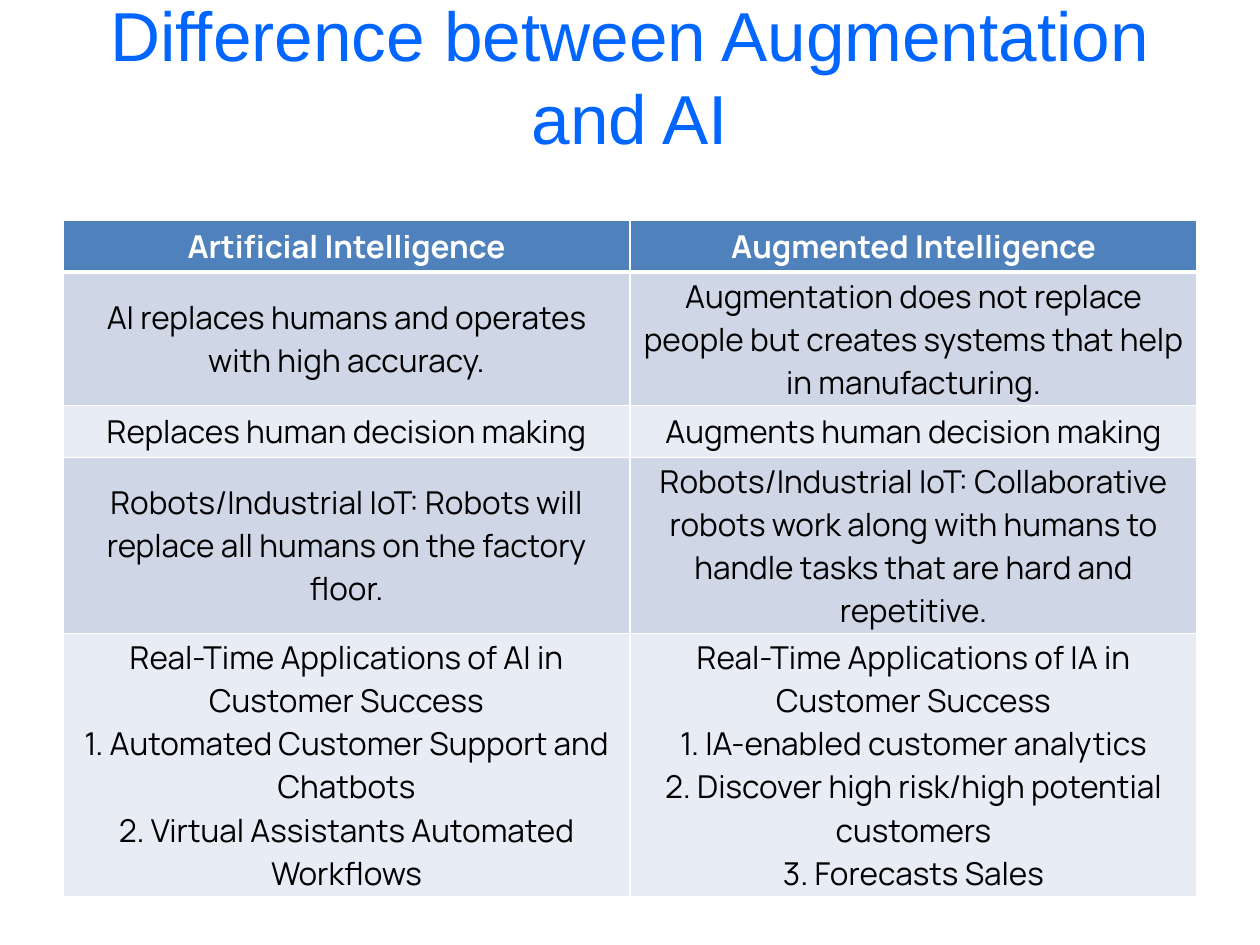
from dataclasses import dataclass
from typing import NamedTuple

from lxml.etree import SubElement
from pptx import Presentation
from pptx.dml.color import RGBColor
from pptx.enum.text import MSO_ANCHOR, PP_ALIGN
from pptx.oxml.ns import qn
from pptx.util import Emu, Pt

SCALE = 9144


@dataclass(frozen=True)
class Theme:
    blue: str = "0066FF"
    head: str = "4F81BD"
    bands: tuple = ("CFD7E7", "E8ECF4")
    ink: str = "000000"
    white: str = "FFFFFF"
    title: float = 39.6
    body: float = 18
    sans: str = "Arial"
    text: str = "Manrope"
    thin: float = 1
    thick: float = 3


class Box(NamedTuple):
    left: int
    top: int
    width: int
    height: int


class Pair(NamedTuple):
    height: int
    left: str
    right: str


class Style(NamedTuple):
    font: str
    size: float
    color: str
    bold: bool = False


THEME = Theme()
PAGE = Box(0, 0, 1000, 750)
TITLE = Box(50, 30, 900, 125)
PAIRS = [
    Pair(41, "Artificial Intelligence", "Augmented Intelligence"),
    Pair(106, "AI replaces humans and operates with high accuracy.",
         "Augmentation does not replace people but creates systems "
         "that help in manufacturing."),
    Pair(41, "Replaces human decision making",
         "Augments human decision making"),
    Pair(140, "Robots/Industrial IoT: Robots will replace all humans on the "
         "factory floor.",
         "Robots/Industrial IoT: Collaborative robots work along with humans "
         "to handle tasks that are hard and repetitive."),
    Pair(209, "Real-Time Applications of AI in Customer Success\n"
         "1. Automated Customer Support and Chatbots\n"
         "2. Virtual Assistants Automated Workflows",
         "Real-Time Applications of IA in Customer Success\n"
         "1. IA-enabled customer analytics\n"
         "2. Discover high risk/high potential customers\n"
         "3. Forecasts Sales"),
]
GRID = Box(50, 175, 900, sum(pair.height for pair in PAIRS))


def px(num: int) -> Emu:
    return Emu(num * SCALE)


def place(box: Box) -> list[Emu]:
    return [px(num) for num in box]


def write(frame, text: str, style: Style) -> None:
    frame.text = text
    for para in frame.paragraphs:
        para.alignment = PP_ALIGN.CENTER
        for run in para.runs:
            font = run.font
            font.name, font.size, font.bold = style.font, Pt(style.size), style.bold
            font.color.rgb = RGBColor.from_string(style.color)


def inset(item, side: int, top: int, base: int) -> None:
    item.margin_left = item.margin_right = px(side)
    item.margin_top, item.margin_bottom = px(top), px(base)
    item.vertical_anchor = MSO_ANCHOR.MIDDLE


def edge(cell, tag: str, width: float) -> None:
    line = SubElement(cell._tc.get_or_add_tcPr(), qn(f"a:{tag}"), w=str(Pt(width)))
    fill = SubElement(line, qn("a:solidFill"))
    SubElement(fill, qn("a:srgbClr"), val=THEME.white)


def draw_title(slide) -> None:
    frame = slide.shapes.add_textbox(*place(TITLE)).text_frame
    frame.word_wrap = True
    inset(frame, 10, 5, 70)
    write(frame, "Difference between Augmentation and AI",
          Style(THEME.sans, THEME.title, THEME.blue))


def draw_cell(cell, text: str, row: int) -> None:
    head = row == 0
    inset(cell, 8, 2, 2)
    write(cell.text_frame, text,
          Style(THEME.text, THEME.body, THEME.white if head else THEME.ink, head))
    for tag in ("lnL", "lnR", "lnT", "lnB"):
        thick = (head and tag == "lnB") or (row == 1 and tag == "lnT")
        edge(cell, tag, THEME.thick if thick else THEME.thin)
    color = THEME.head if head else THEME.bands[(row - 1) % 2]
    cell.fill.solid()
    cell.fill.fore_color.rgb = RGBColor.from_string(color)


def draw_grid(slide) -> None:
    table = slide.shapes.add_table(len(PAIRS), 2, *place(GRID)).table
    for row, pair in enumerate(PAIRS):
        table.rows[row].height = px(pair.height)
        for col, text in enumerate((pair.left, pair.right)):
            draw_cell(table.cell(row, col), text, row)


def main() -> None:
    deck = Presentation()
    deck.slide_width, deck.slide_height = px(PAGE.width), px(PAGE.height)
    slide = deck.slides.add_slide(deck.slide_layouts[6])
    draw_title(slide)
    draw_grid(slide)
    deck.save("out.pptx")


if __name__ == "__main__":
    main()
